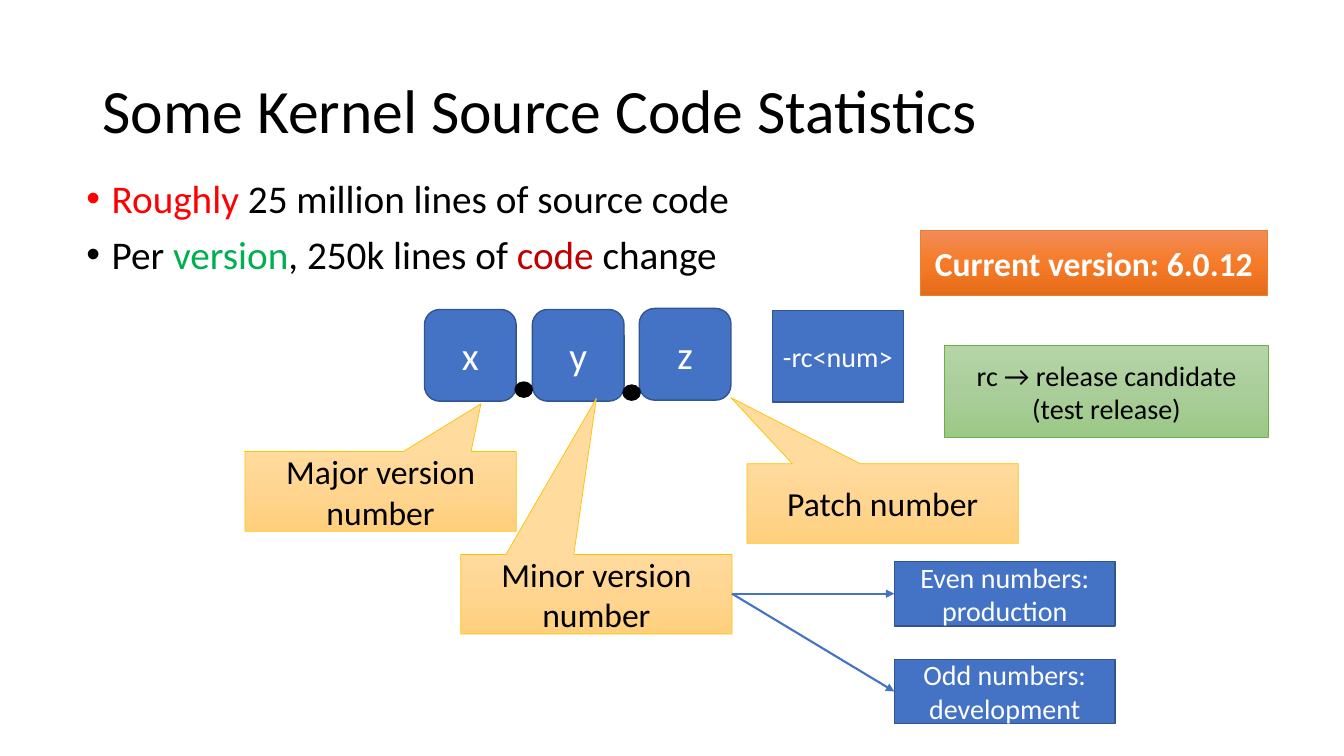
from copy import deepcopy

from lxml import etree
from pptx import Presentation
from pptx.dml.color import RGBColor
from pptx.enum.shapes import MSO_CONNECTOR, MSO_SHAPE
from pptx.enum.text import MSO_ANCHOR, PP_ALIGN
from pptx.oxml.ns import qn
from pptx.util import Inches, Pt

RECT, ROUNDED = MSO_SHAPE.RECTANGLE, MSO_SHAPE.ROUNDED_RECTANGLE
OVAL, CALLOUT = MSO_SHAPE.OVAL, MSO_SHAPE.RECTANGULAR_CALLOUT
STRAIGHT = MSO_CONNECTOR.STRAIGHT
MIDDLE, TOP, CENTER = MSO_ANCHOR.MIDDLE, MSO_ANCHOR.TOP, PP_ALIGN.CENTER

FONT = "Calibri"
BLACK = RGBColor(0x00, 0x00, 0x00)
WHITE = RGBColor(0xFF, 0xFF, 0xFF)
RED = RGBColor(0xFF, 0x00, 0x00)
DARK_RED = RGBColor(0xC0, 0x00, 0x00)
GREEN = RGBColor(0x00, 0xB0, 0x50)
BLUE = RGBColor(0x44, 0x72, 0xC4)
BLUE_EDGE = RGBColor(0x32, 0x54, 0x91)
AMBER_EDGE = RGBColor(0xFF, 0xC0, 0x00)
ORANGE_EDGE = RGBColor(0xED, 0x7D, 0x31)
SAGE_EDGE = RGBColor(0x70, 0xAD, 0x47)
# Gradients from top to bottom
AMBER = [RGBColor(0xFF, 0xDB, 0x9E), RGBColor(0xFF, 0xD5, 0x90), RGBColor(0xFF, 0xD0, 0x7C)]
ORANGE = [RGBColor(0xF1, 0x8C, 0x57), RGBColor(0xF6, 0x7B, 0x28), RGBColor(0xE5, 0x6C, 0x19)]
SAGE = [RGBColor(0xB5, 0xD5, 0xA7), RGBColor(0xAA, 0xCE, 0x9A), RGBColor(0x9C, 0xC9, 0x87)]

# Look of each kind of box
BLUE_BOX = {"fill": BLUE, "edge": BLUE_EDGE, "width": 1, "color": WHITE}
AMBER_BOX = {"fill": AMBER, "edge": AMBER_EDGE, "width": 0.5, "color": BLACK}
ORANGE_BOX = {"fill": ORANGE, "edge": ORANGE_EDGE, "width": 0.5, "color": WHITE}
SAGE_BOX = {"fill": SAGE, "edge": SAGE_EDGE, "width": 0.5, "color": BLACK}
DOT = {"fill": BLACK, "edge": BLACK, "width": 1, "color": WHITE}


def add_run(p, text, size, color, bold=False):
    r = p.add_run()
    r.text = text
    r.font.color.rgb = color
    for name, value in {"name": FONT, "size": Pt(size), "bold": bold}.items():
        setattr(r.font, name, value)


def fill_gradient(s, colors):
    s.fill.gradient()
    s.fill.gradient_angle = 270
    stops = s._element.spPr.find(qn("a:gradFill")).find(qn("a:gsLst"))
    stops.insert(1, deepcopy(stops[0]))
    for i, (stop, color) in enumerate(zip(s.fill.gradient_stops, colors)):
        stop.position = i / 2
        stop.color.rgb = color


def add_box(slide, kind, at, look, text="", size=20, bold=False):
    s = slide.shapes.add_shape(kind, *map(Inches, at))
    s.shadow.inherit = False
    if isinstance(look["fill"], list):
        fill_gradient(s, look["fill"])
    else:
        s.fill.solid()
        s.fill.fore_color.rgb = look["fill"]
    s.line.color.rgb = look["edge"]
    s.line.width = Pt(look["width"])
    if text:
        tf = s.text_frame
        tf.word_wrap, tf.vertical_anchor = True, MIDDLE
        p = tf.paragraphs[0]
        p.alignment = CENTER
        add_run(p, text, size, look["color"], bold)
    return s


def add_callout(slide, left, top, text, tip):
    s = add_box(slide, CALLOUT, (left, top, 2.69, 0.79), AMBER_BOX, text, 24)
    s.adjustments[0], s.adjustments[1] = tip


def add_text(slide, at, paragraphs, size, anchor, bullets=False):
    tf = slide.shapes.add_textbox(*map(Inches, at)).text_frame
    tf.word_wrap, tf.vertical_anchor = True, anchor
    for i, runs in enumerate(paragraphs):
        p = tf.add_paragraph() if i else tf.paragraphs[0]
        p.line_spacing = 0.9
        p.space_before = Pt(10 if i else 0)
        if bullets:
            pPr = p._p.get_or_add_pPr()
            pPr.set("marL", str(Inches(0.25)))
            pPr.set("indent", str(-Inches(0.25)))
            etree.SubElement(pPr, qn("a:buFont")).set("typeface", "Arial")
            etree.SubElement(pPr, qn("a:buChar")).set("char", "•")
        for text, color in runs:
            add_run(p, text, size, color)


def add_arrow(slide, start, end):
    s = slide.shapes.add_connector(STRAIGHT, *map(Inches, start + end))
    s.line.color.rgb = BLUE
    s.line.width = Pt(1.5)
    etree.SubElement(s.line._get_or_add_ln(), qn("a:tailEnd")).set("type", "triangle")
    etree.SubElement(s._element.spPr, qn("a:effectLst"))


def main():
    prs = Presentation()
    prs.slide_width, prs.slide_height = Inches(13.33), Inches(7.5)
    slide = prs.slides.add_slide(prs.slide_layouts[6])

    # Title and bullets
    add_text(slide, (0.92, 0.4, 11.5, 1.45),
             [[("Some Kernel Source Code Statistics", BLACK)]], 44, MIDDLE)
    add_text(slide, (0.76, 1.73, 11.5, 1.56), [
        [("Roughly", RED), (" 25 million lines of source code", BLACK)],
        [("Per ", BLACK), ("version", GREEN), (", 250k lines of ", BLACK),
         ("code", DARK_RED), (" change", BLACK)],
    ], 28, TOP, bullets=True)

    # Version pattern x.y.z-rc<num>
    for left, top, letter in [(4.21, 3.07, "x"), (5.28, 3.07, "y"), (6.34, 3.06, "z")]:
        add_box(slide, ROUNDED, (left, top, 0.91, 0.91), BLUE_BOX, letter, 28)

    # Callouts for the three numbers
    add_callout(slide, 2.43, 4.48, "Major version number", (0.37, -1.1))
    add_callout(slide, 4.57, 5.5, "Minor version number", (0, -2.46))
    add_callout(slide, 7.41, 4.6, "Patch number", (-0.56, -1.33))

    # Dots between the numbers
    for left, top in [(5.11, 3.79), (6.18, 3.82)]:
        add_box(slide, OVAL, (left, top, 0.17, 0.15), DOT)

    # Meaning of even and odd minor numbers
    for top, text in [(5.57, "Even numbers: production"), (6.54, "Odd numbers: development")]:
        add_box(slide, RECT, (8.87, top, 2.19, 0.64), BLUE_BOX, text)
        add_arrow(slide, (7.26, 5.89), (8.87, top + 0.32))

    # Current version and release candidate
    add_box(slide, RECT, (9.13, 2.29, 3.44, 0.64), ORANGE_BOX,
            "Current version: 6.0.12", 24, bold=True)
    add_box(slide, RECT, (9.37, 3.43, 3.21, 0.91), SAGE_BOX,
            "rc → release candidate (test release)")
    add_box(slide, RECT, (7.66, 3.08, 1.3, 0.91), BLUE_BOX, "-rc<num>")

    prs.save("out.pptx")


if __name__ == "__main__":
    main()
